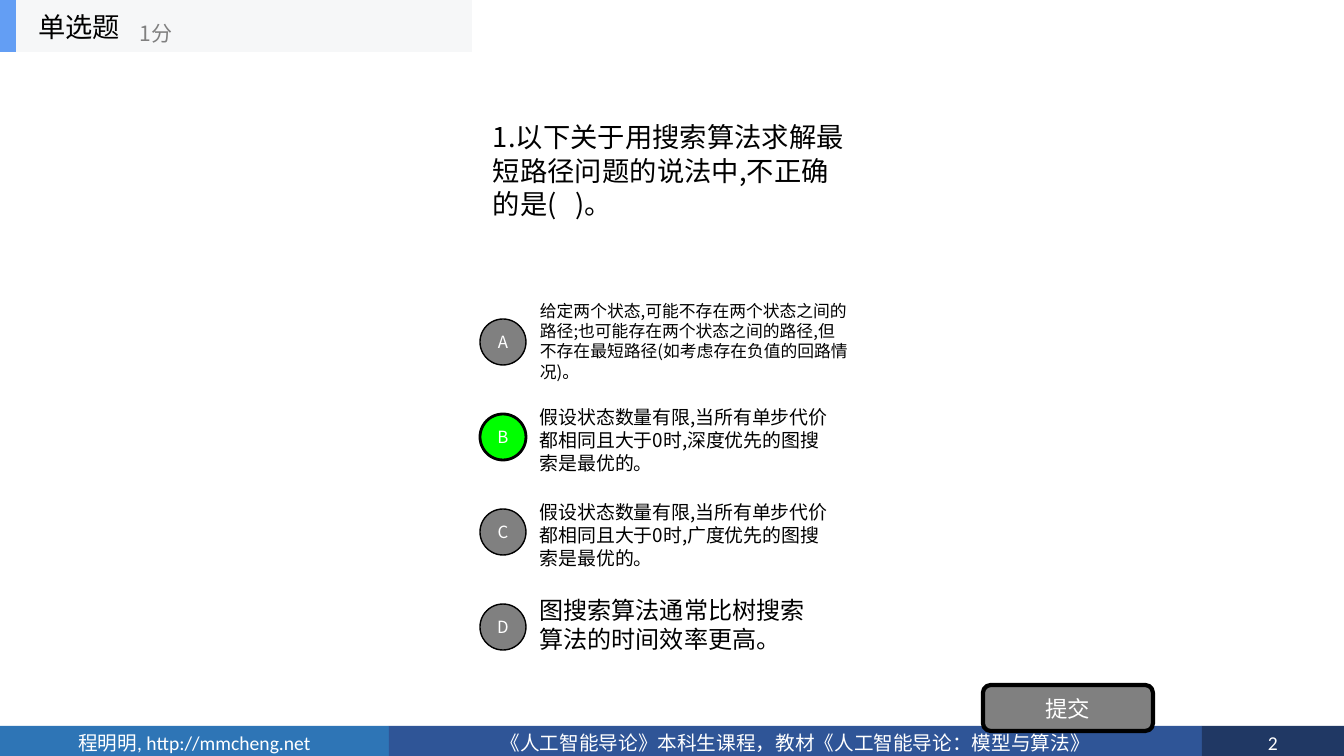
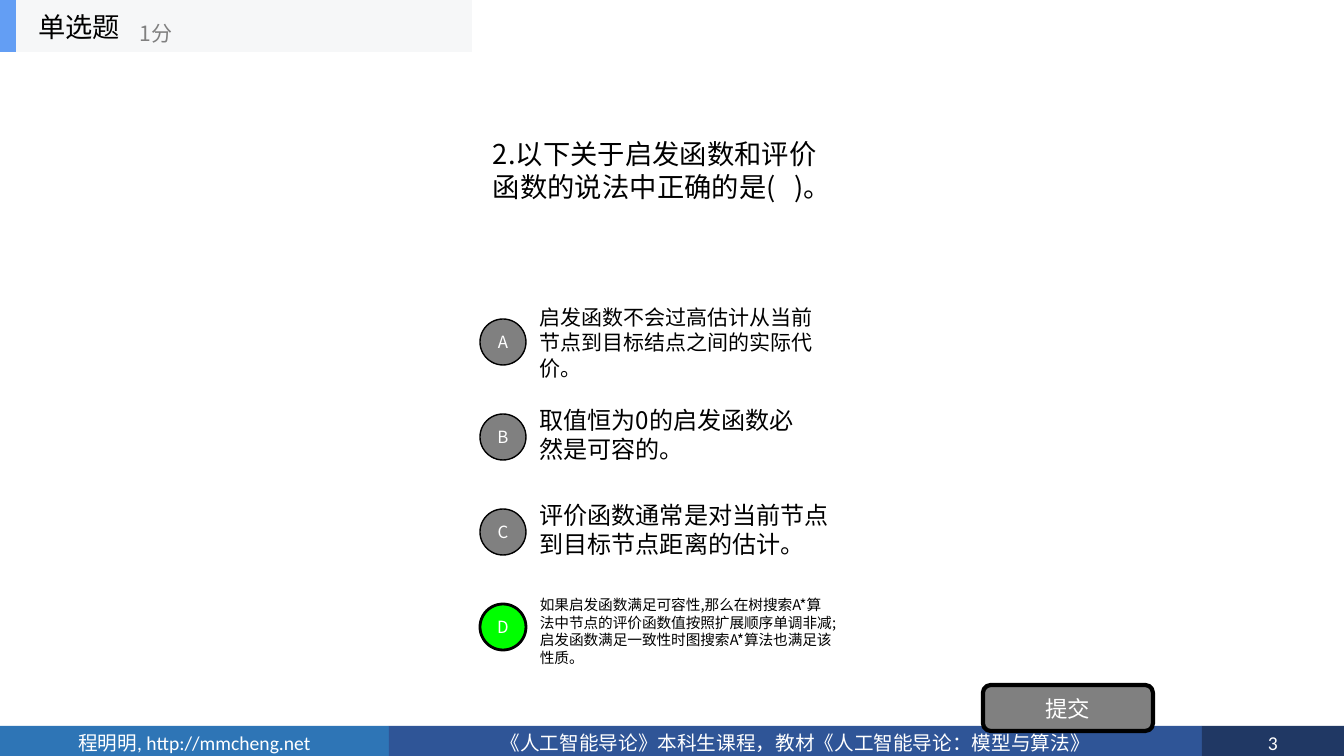
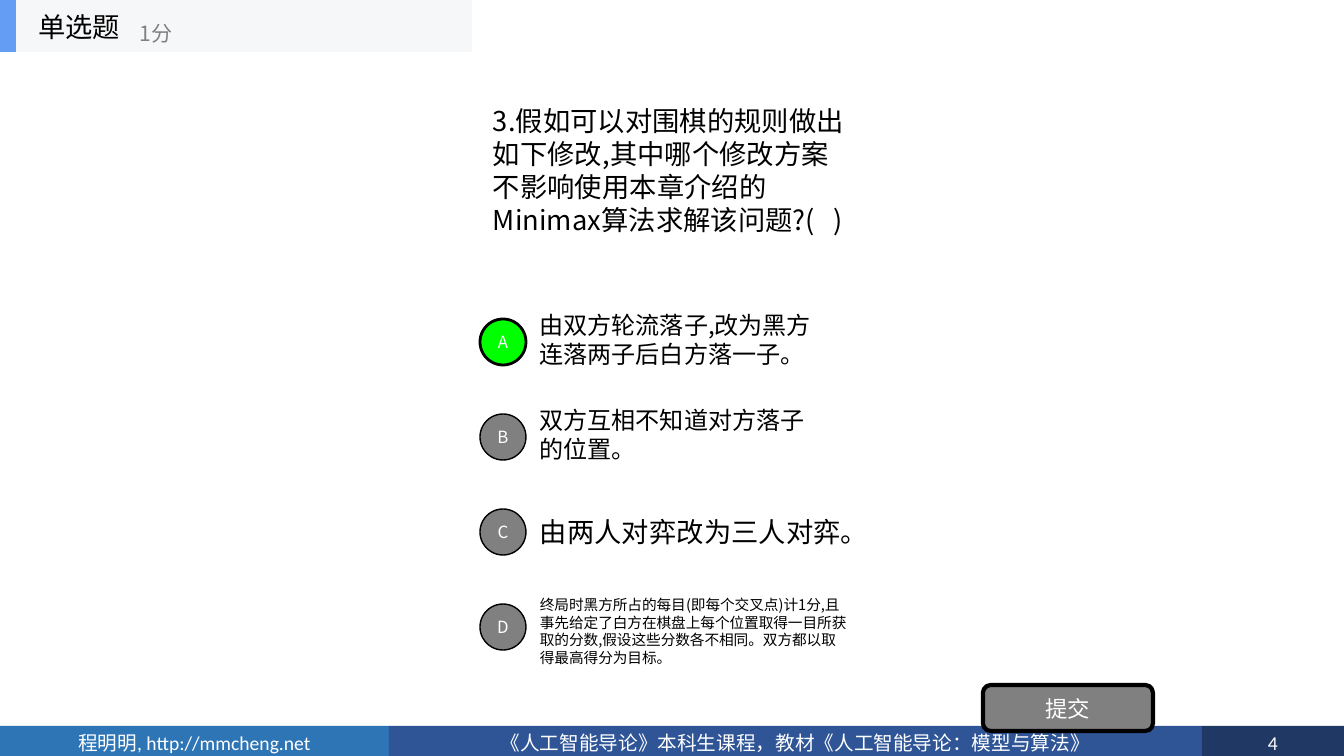
from dataclasses import dataclass

from lxml.etree import SubElement
from pptx import Presentation
from pptx.dml.color import RGBColor as RGB
from pptx.enum.shapes import MSO_SHAPE as Form
from pptx.enum.text import MSO_ANCHOR as Anchor
from pptx.enum.text import MSO_AUTO_SIZE as Fit
from pptx.enum.text import PP_ALIGN as Align
from pptx.oxml.ns import qn
from pptx.util import Emu, Pt


@dataclass(frozen=True)
class Theme:
    white: str = "FFFFFF"
    black: str = "000000"
    grey: str = "808080"
    green: str = "00FF00"
    pale: str = "F6F7F8"
    accent: str = "639EF4"
    blue: str = "2E75B6"
    royal: str = "2F5597"
    navy: str = "203864"
    sans: str = "Noto Sans CJK SC"
    foot: str = "Calibri"
    head: float = 19.5
    score: float = 15
    button: float = 16
    letter: float = 12
    footer: float = 14
    pitch: float = 1.21


T = Theme()
FIRST = 2
STEP = 95
ROW = 319

# Each question: text, width, right letter, options.
# Each option: text, type size, top, width, height.
QUIZ = [
    ("1.以下关于用搜索算法求解最短路径问题的说法中,不正确的是(   )。", 377, "B", [
        ("给定两个状态,可能不存在两个状态之间的路径;也可能存在两个状态之间的路径,"
         "但不存在最短路径(如考虑存在负值的回路情况)。", 12, 295, 331, 92),
        ("假设状态数量有限,当所有单步代价都相同且大于0时,深度优先的图搜索是最优的。",
         13.5, 400, 314, 79),
        ("假设状态数量有限,当所有单步代价都相同且大于0时,广度优先的图搜索是最优的。",
         13.5, 495, 314, 79),
        ("图搜索算法通常比树搜索算法的时间效率更高。", 17.2, 590, 304, 69),
    ]),
    ("2.以下关于启发函数和评价函数的说法中正确的是(   )。", 365, "D", [
        ("启发函数不会过高估计从当前节点到目标结点之间的实际代价。", 15, 299, 309, 87),
        ("取值恒为0的启发函数必然是可容的。", 17.2, 400, 295, 69),
        ("评价函数通常是对当前节点到目标节点距离的估计。", 17.2, 495, 329, 69),
        ("如果启发函数满足可容性,那么在树搜索A*算法中节点的评价函数值按照扩展顺序单调非减;"
         "启发函数满足一致性时图搜索A*算法也满足该性质。", 10.5, 590, 314, 82),
    ]),
    ("3.假如可以对围棋的规则做出如下修改,其中哪个修改方案不影响使用本章介绍的"
     "Minimax算法求解该问题?(   )", 377, "A", [
        ("由双方轮流落子,改为黑方连落两子后白方落一子。", 17.2, 305, 310, 69),
        ("双方互相不知道对方落子的位置。", 17.2, 400, 304, 69),
        ("由两人对弈改为三人对弈。", 19.5, 510, 331, 43),
        ("终局时黑方所占的每目(即每个交叉点)计1分,且事先给定了白方在棋盘上每个位置取得一目所获取的分数,"
         "假设这些分数各不相同。双方都以取得最高得分为目标。", 10.5, 590, 328, 82),
    ]),
]


def px(n):
    return Emu(round(n * 914400 / 100.8))


def put(obj, **vals):
    for key, val in vals.items():
        setattr(obj, key, val)


def write(shape, text, size, color=T.black, face=T.sans,
          align=Align.LEFT, anchor=Anchor.MIDDLE):
    frame = shape.text_frame
    put(frame, word_wrap=True, auto_size=Fit.NONE, vertical_anchor=anchor)
    para = frame.paragraphs[0]
    put(para, alignment=align, line_spacing=Pt(size * T.pitch))
    run = para.add_run()
    run.text = text
    put(run.font, size=Pt(size), name=face, bold=False)
    run.font.color.rgb = RGB.from_string(color)
    # Chinese glyphs take their face from a:ea, which follows a:latin
    SubElement(run.font._element, qn("a:ea")).set("typeface", T.sans)


def label(slide, box, text, size, color=T.black):
    write(slide.shapes.add_textbox(*map(px, box)), text, size, color)


def block(slide, box, fill, form=Form.RECTANGLE, edge=0):
    shape = slide.shapes.add_shape(form, *map(px, box))
    shape.shadow.inherit = False
    shape.fill.solid()
    shape.fill.fore_color.rgb = RGB.from_string(fill)
    if edge:
        shape.line.color.rgb = RGB.from_string(T.black)
        shape.line.width = Pt(edge)
    else:
        shape.line.fill.background()
    return shape


def header(slide):
    block(slide, (0, 0, 472, 52), T.pale)
    block(slide, (0, 0, 16, 52), T.accent)
    title = slide.shapes.title
    left, top, width, height = map(px, (28, 0, 157, 52))
    put(title, left=left, top=top, width=width, height=height)
    write(title, "单选题", T.head)
    slide.shapes.element.append(title.element)  # in front of the band
    label(slide, (130, 12, 190, 42), "1分", T.score, T.grey)


def footer(slide, number):
    bands = [
        (389, T.blue, "程明明, http://mmcheng.net"),
        (813, T.royal, "《人工智能导论》本科生课程，教材《人工智能导论：模型与算法》"),
        (142, T.navy, str(number)),
    ]
    left = 0
    for width, fill, text in bands:
        band = block(slide, (left, 726, width, 30), fill)
        write(band, text, T.footer, T.white, T.foot, Align.CENTER, Anchor.TOP)
        left += width


def option(slide, row, letter, right, item):
    text, size, top, width, height = item
    label(slide, (530, top, width, height), text, size)
    fill, edge = (T.green, 2) if right else (T.grey, 1)
    disc = block(slide, (480, ROW + row * STEP, 46, 46), fill, Form.OVAL, edge)
    put(disc.text_frame, margin_left=0, margin_right=0)
    write(disc, letter, T.letter, T.white, align=Align.CENTER)


def submit(slide):
    key = block(slide, (983, 685, 170, 46), T.grey, Form.ROUNDED_RECTANGLE, 3)
    write(key, "提交", T.button, T.white, align=Align.CENTER)


def main():
    deck = Presentation()
    put(deck, slide_width=px(1344), slide_height=px(756))
    for number, (text, width, answer, items) in enumerate(QUIZ, FIRST):
        slide = deck.slides.add_slide(deck.slide_layouts[5])
        header(slide)
        footer(slide, number)
        label(slide, (483, 99, width, 142), text, T.head)
        for row, (letter, item) in enumerate(zip("ABCD", items)):
            option(slide, row, letter, letter == answer, item)
        submit(slide)
    deck.save("out.pptx")


if __name__ == "__main__":
    main()
